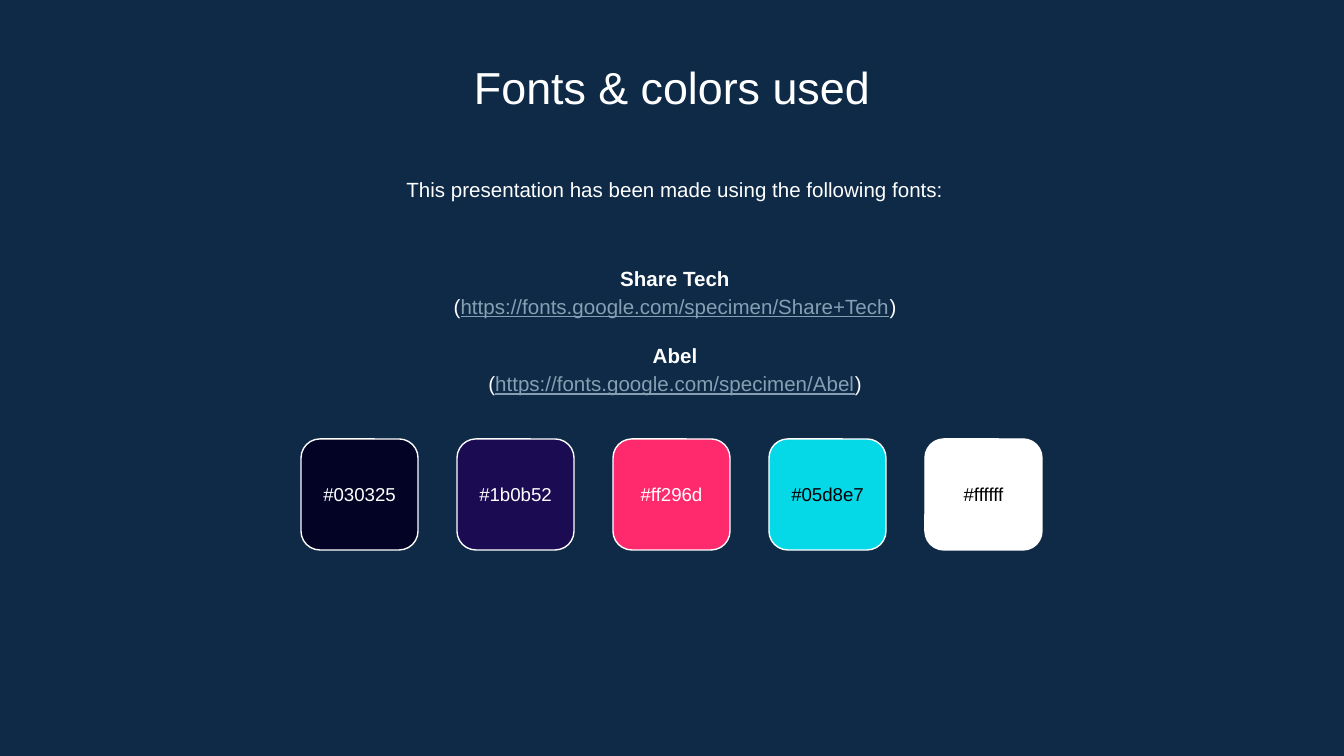
from pptx import Presentation
from pptx.dml.color import RGBColor
from pptx.enum.shapes import MSO_SHAPE as Shape
from pptx.enum.text import MSO_ANCHOR as Anchor, MSO_AUTO_SIZE as AutoSize, PP_ALIGN as Align
from pptx.util import Pt

SCALE = 914400 / 134.4
FONT = "Arial"
NAVY = RGBColor(0x0E, 0x2A, 0x47)
WHITE = RGBColor(0xFF, 0xFF, 0xFF)
BLACK = RGBColor(0x00, 0x00, 0x00)
LINK = RGBColor(0x86, 0x9F, 0xB2)

FONTS = [
    ("Share Tech", "https://fonts.google.com/specimen/Share+Tech"),
    ("Abel", "https://fonts.google.com/specimen/Abel"),
]
SWATCHES = [
    ("#030325", WHITE),
    ("#1b0b52", WHITE),
    ("#ff296d", WHITE),
    ("#05d8e7", BLACK),
    ("#ffffff", BLACK),
]


def px(length):
    return round(length * SCALE)


def format_run(run, size, color, bold=False, underline=False):
    font = run.font
    font.name = FONT
    font.size = Pt(size)
    font.color.rgb = color
    font.bold = bold
    font.underline = underline


def format_frame(text_frame, anchor):
    text_frame.word_wrap = True
    text_frame.auto_size = AutoSize.NONE
    text_frame.vertical_anchor = anchor
    text_frame.margin_left = text_frame.margin_right = px(13)
    text_frame.margin_top = text_frame.margin_bottom = px(13)


def set_line(text_frame, text, size, color):
    text_frame.text = text
    paragraph = text_frame.paragraphs[0]
    paragraph.alignment = Align.CENTER
    format_run(paragraph.runs[0], size, color)
    return paragraph


def add_title(slide, left, top, width, height):
    title = slide.shapes.title
    title.left, title.top = px(left), px(top)
    title.width, title.height = px(width), px(height)
    format_frame(title.text_frame, Anchor.TOP)
    set_line(title.text_frame, "Fonts & colors used", 24, WHITE)


def add_intro(slide, left, top, width, height):
    box = slide.shapes.add_textbox(px(left), px(top), px(width), px(height))
    format_frame(box.text_frame, Anchor.TOP)
    text = "This presentation has been made using the following fonts:"
    set_line(box.text_frame, text, 11, WHITE).line_spacing = 1.15


def add_font_list(slide, left, top, width, height):
    box = slide.shapes.add_textbox(px(left), px(top), px(width), px(height))
    text_frame = box.text_frame
    format_frame(text_frame, Anchor.MIDDLE)
    for index, (name, address) in enumerate(FONTS):
        heading = text_frame.add_paragraph() if index else text_frame.paragraphs[0]
        if index:
            heading.space_before = Pt(11)
        reference = text_frame.add_paragraph()
        for paragraph in (heading, reference):
            paragraph.alignment = Align.CENTER
            paragraph.line_spacing = 1.15
        heading.text = name
        format_run(heading.runs[0], 11, WHITE, bold=True)
        for text in ("(", address, ")"):
            run = reference.add_run()
            run.text = text
            is_link = text == address
            format_run(run, 11, LINK if is_link else WHITE, underline=is_link)


def add_swatches(slide, left, top, width, height, swatch_width):
    pitch = (width - swatch_width) / (len(SWATCHES) - 1)
    for index, (code, text_color) in enumerate(SWATCHES):
        swatch = slide.shapes.add_shape(
            Shape.ROUNDED_RECTANGLE,
            px(left + index * pitch), px(top), px(swatch_width), px(height),
        )
        swatch.shadow.inherit = False
        swatch.adjustments[0] = 0.17
        swatch.fill.solid()
        swatch.fill.fore_color.rgb = RGBColor.from_string(code[1:].upper())
        swatch.line.color.rgb = WHITE
        swatch.line.width = Pt(0.75)
        format_frame(swatch.text_frame, Anchor.MIDDLE)
        swatch.text_frame.margin_left = swatch.text_frame.margin_right = px(8)
        set_line(swatch.text_frame, code, 10, text_color)


def main():
    presentation = Presentation()
    presentation.slide_width = px(1344)
    presentation.slide_height = px(756)
    slide = presentation.slides.add_slide(presentation.slide_layouts[5])
    slide.background.fill.solid()
    slide.background.fill.fore_color.rgb = NAVY
    add_title(slide, 154, 47, 1036, 71)
    add_intro(slide, 157, 160, 1036, 65)
    add_font_list(slide, 157, 237, 1036, 184)
    add_swatches(slide, 301, 439, 741, 111, 117)
    presentation.save("out.pptx")


if __name__ == "__main__":
    main()
